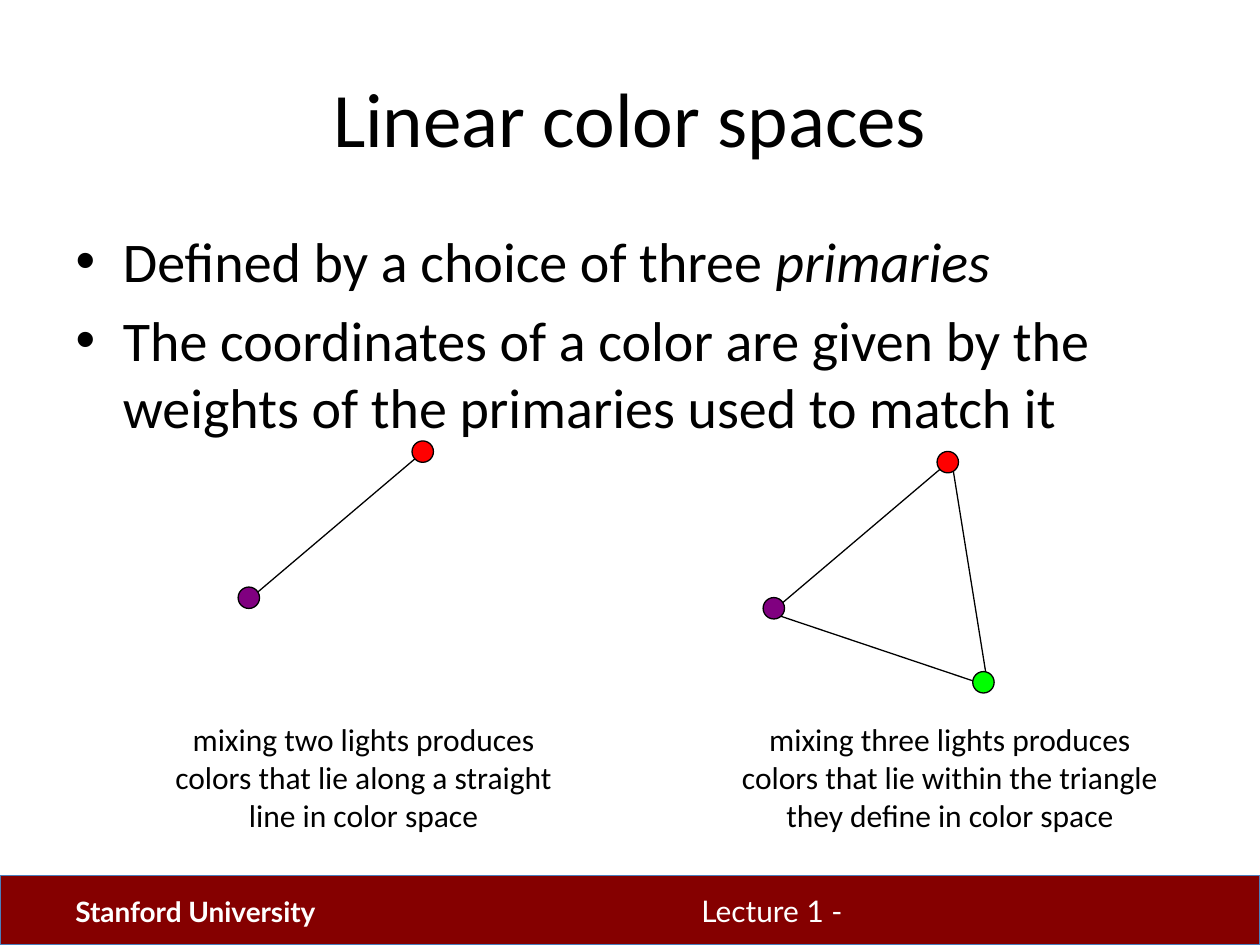
import pptx
import pptx.util
import pptx.dml.color
import pptx.enum.shapes
import pptx.enum.text
import pptx.oxml.ns
from lxml import etree

Pt = pptx.util.Pt
ALIGN = pptx.enum.text.PP_ALIGN
ANCHOR = pptx.enum.text.MSO_ANCHOR
DOT_SIZE = 12.24
VIOLET_RED = ((-1.8, 2.6), (96.8, -81))
VIOLET_GREEN = ((-1.8, 2.6), (121.6, 44.1))
RED_GREEN = ((101.4, -85.6), (121.6, 39.8))
VIOLET_DOT = ((0, 0), "800080")
RED_DOT = ((99.4, -83.5), "FF0000")
GREEN_DOT = ((119.8, 42.3), "00FF00")


def color(value):
    return pptx.dml.color.RGBColor.from_string(value)


def format_font(font, values):
    for name, value in values.items():
        if name == "color":
            font.color.rgb = color(value)
        else:
            setattr(font, name, value)


def place(shape, left, top, width, height):
    bounds = {"left": left, "top": top, "width": width, "height": height}
    for name, value in bounds.items():
        setattr(shape, name, Pt(value))


def add_outlined(page, kind, bounds, fill, line):
    shape = page.shapes.add_shape(kind, *map(Pt, bounds))
    shape.shadow.inherit = False
    shape.fill.solid()
    shape.fill.fore_color.rgb = color(fill)
    shape.line.color.rgb = color(line)
    shape.line.width = Pt(0.75)


def add_line(page, start, end):
    line = page.shapes.add_connector(
        pptx.enum.shapes.MSO_CONNECTOR.STRAIGHT, *map(Pt, (*start, *end)))
    line.line.color.rgb = color("000000")
    line.line.width = Pt(0.75)
    etree.SubElement(line._element.spPr, pptx.oxml.ns.qn("a:effectLst"))


def add_mixture(page, origin, edges, dots):
    def shift(point):
        return origin[0] + point[0], origin[1] + point[1]

    for start, end in edges:
        add_line(page, shift(start), shift(end))
    for center, fill in dots:
        x, y = shift(center)
        bounds = (x - DOT_SIZE / 2, y - DOT_SIZE / 2, DOT_SIZE, DOT_SIZE)
        add_outlined(page, pptx.enum.shapes.MSO_SHAPE.OVAL, bounds, fill, "000000")


def add_text(page, bounds, text, font, align=ALIGN.LEFT, wrap=True):
    box = page.shapes.add_textbox(*map(Pt, bounds))
    box.text_frame.word_wrap = wrap
    para = box.text_frame.paragraphs[0]
    for index, line in enumerate(text.split("\n")):
        if index:
            para.add_line_break()
        span = para.add_run()
        span.text = line
        format_font(span.font, font)
    para.alignment = align


def fill_title(page):
    title = page.shapes.title
    place(title, 36, 21.6, 648, 90)
    title.text_frame.text = "Linear color spaces"
    title.text_frame.vertical_anchor = ANCHOR.MIDDLE
    para = title.text_frame.paragraphs[0]
    para.alignment = ALIGN.CENTER
    format_font(para.runs[0].font, {"name": "Calibri", "size": Pt(44), "color": "000000"})


def fill_body(page, bullets):
    body = page.placeholders[1]
    place(body, 36, 126, 648, 356.4)
    frame = body.text_frame
    for index, spans in enumerate(bullets):
        para = frame.add_paragraph() if index else frame.paragraphs[0]
        for text, italic in spans:
            span = para.add_run()
            span.text = text
            format_font(span.font, {"name": "Calibri", "size": Pt(32),
                                    "italic": italic, "color": "000000"})


def add_footer(page):
    add_outlined(page, pptx.enum.shapes.MSO_SHAPE.RECTANGLE,
                 (0, 500.4, 720, 39.6), "850000", "4B7EBC")
    font = {"name": "Lato", "size": Pt(17), "color": "FFFFFF"}
    add_text(page, (393.8, 506.9, 175.7, 30), "Lecture 1 -", font)
    add_text(page, (36, 507.6, 172.8, 26.6), "Stanford University",
             {**font, "size": Pt(16), "bold": True})


def main():
    deck = pptx.Presentation()
    deck.slide_width, deck.slide_height = Pt(720), Pt(540)
    page = deck.slides.add_slide(deck.slide_layouts[1])
    add_footer(page)
    fill_title(page)
    fill_body(page, [
        [("Defined by a choice of three ", False), ("primaries", True)],
        [("The coordinates of a color are given by the weights of the "
          "primaries used to match it", False)],
    ])
    add_mixture(page, (142.2, 341.6), [VIOLET_RED], [VIOLET_DOT, RED_DOT])
    add_mixture(page, (442.2, 347.6), [VIOLET_RED, VIOLET_GREEN, RED_GREEN],
                [VIOLET_DOT, RED_DOT, GREEN_DOT])
    captions = [
        (81.4, 252.7, "mixing two lights produces\ncolors that lie along a straight\n"
                      "line in color space"),
        (407.5, 270.7, "mixing three lights produces\ncolors that lie within the triangle\n"
                       "they define in color space"),
    ]
    for left, width, text in captions:
        add_text(page, (left, 408.2, width, 72), text,
                 {"name": "Calibri", "size": Pt(18), "color": "000000"},
                 ALIGN.CENTER, False)
    deck.save("out.pptx")


if __name__ == "__main__":
    main()
